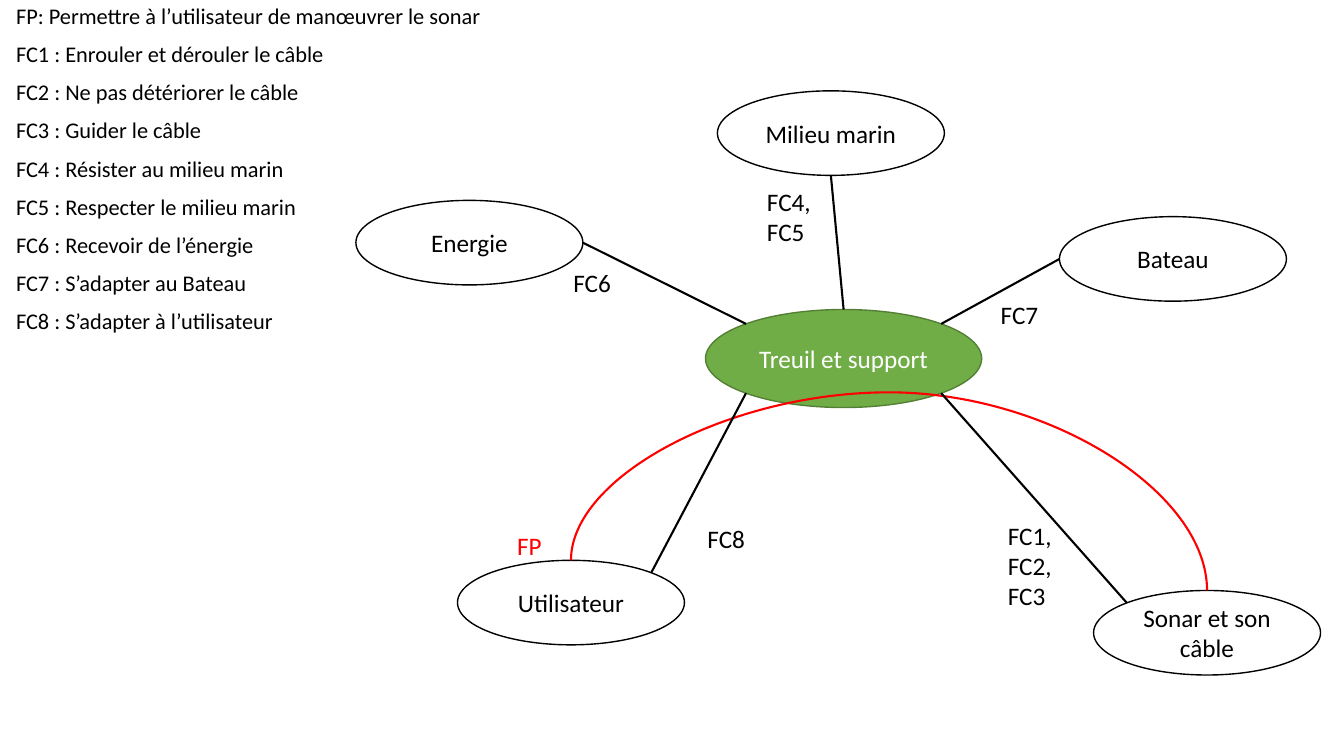
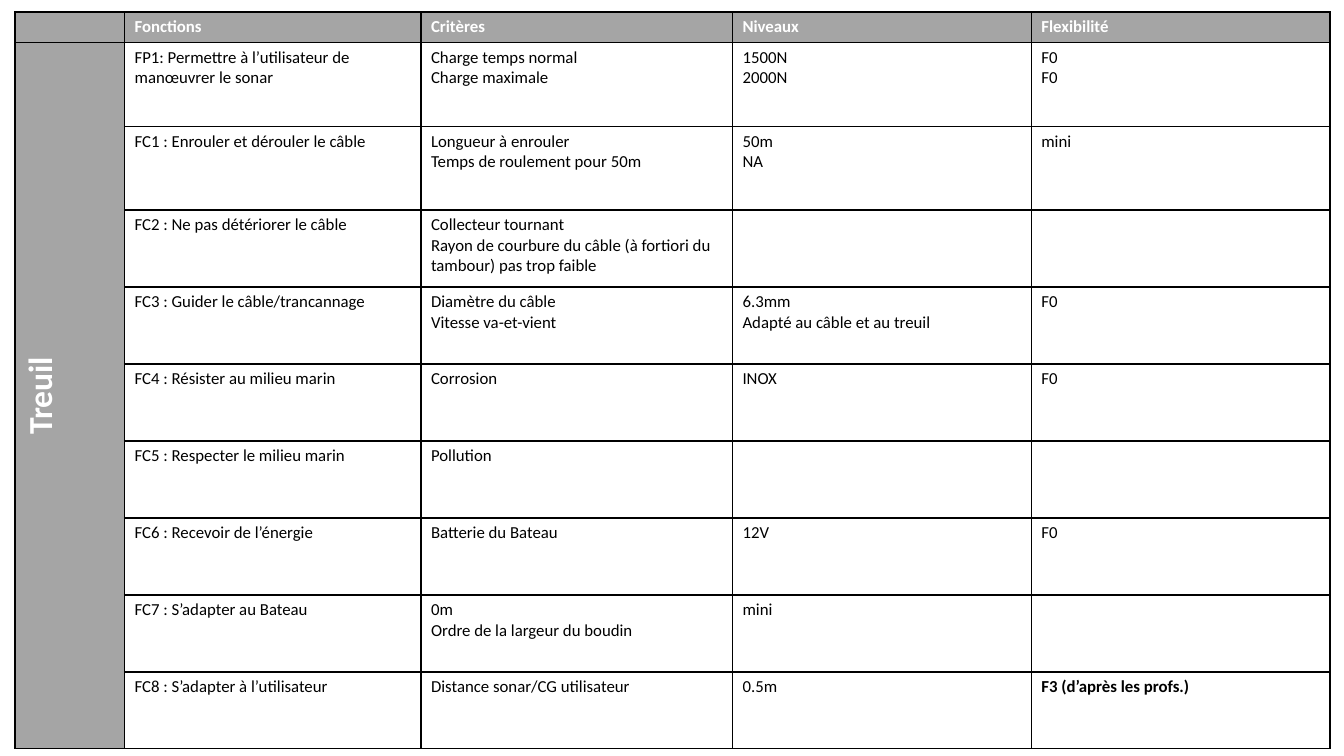
from math import cos, radians, sin

from lxml import etree
from pptx import Presentation
from pptx.dml.color import RGBColor
from pptx.enum.shapes import MSO_CONNECTOR, MSO_SHAPE
from pptx.enum.text import MSO_ANCHOR, MSO_AUTO_SIZE, PP_ALIGN
from pptx.oxml.ns import qn
from pptx.util import Cm, Pt

BLACK = RGBColor(0, 0, 0)
WHITE = RGBColor(255, 255, 255)
RED = RGBColor(255, 0, 0)
GREEN = RGBColor(0x70, 0xAD, 0x47)
MOSS = RGBColor(0x53, 0x80, 0x35)
GREY = RGBColor(0xA5, 0xA5, 0xA5)
FONT = "Calibri"
OVAL = MSO_SHAPE.OVAL
LINE = MSO_CONNECTOR.STRAIGHT
CURVE = MSO_CONNECTOR.CURVE
LEFT = PP_ALIGN.LEFT
MID = PP_ALIGN.CENTER
TOP = MSO_ANCHOR.TOP
CORE = MSO_ANCHOR.MIDDLE
FIXED = MSO_AUTO_SIZE.NONE
N, NW, W, SW, S, SE, E, NE = range(8)


class Deck:
    def __init__(self):
        self.prs = Presentation()
        self.prs.slide_width = Cm(33.87)
        self.prs.slide_height = Cm(19.05)
        self.slide = None

    def start(self, kind):
        self.slide = self.prs.slides.add_slide(self.prs.slide_layouts[kind])

    def put(self, frame, text, size, color=BLACK, align=LEFT, bold=False):
        frame.text = text
        for para in frame.paragraphs:
            para.alignment = align
            font = para.font
            font.name = FONT
            font.size = Pt(size)
            font.bold = bold
            font.color.rgb = color
            if not para.text:
                etree.SubElement(para._p, qn("a:endParaRPr"), sz=str(size * 100))

    def body(self, x, y, w, h, lines):
        title = self.slide.shapes.title
        title.element.getparent().remove(title.element)
        box = self.slide.placeholders[1]
        box.left, box.top, box.width, box.height = Cm(x), Cm(y), Cm(w), Cm(h)
        frame = box.text_frame
        frame.auto_size = FIXED
        frame.vertical_anchor = TOP
        self.put(frame, "\n".join(lines), 16)
        for para in frame.paragraphs:
            para.line_spacing = 0.9
            para.space_before = Pt(10)
            props = para._p.get_or_add_pPr()
            props.set("marL", "0")
            props.set("indent", "0")
            bullet = etree.Element(qn("a:buNone"))
            props.find(qn("a:defRPr")).addprevious(bullet)

    def oval(self, x, y, text, w=5.72, h=2.13, fill=WHITE, edge=BLACK, color=BLACK):
        shape = self.slide.shapes.add_shape(OVAL, Cm(x), Cm(y), Cm(w), Cm(h))
        shape.shadow.inherit = False
        shape.fill.solid()
        shape.fill.fore_color.rgb = fill
        shape.line.color.rgb = edge
        shape.line.width = Pt(1)
        shape.text_frame.word_wrap = True
        shape.text_frame.vertical_anchor = CORE
        self.put(shape.text_frame, text, 18, color, MID)
        return shape

    def label(self, x, y, text, color=BLACK):
        tall = 0.25 + 0.77 * len(text.split("\n"))
        box = self.slide.shapes.add_textbox(Cm(x), Cm(y), Cm(2.1), Cm(tall))
        box.text_frame.word_wrap = True
        self.put(box.text_frame, text, 18, color)

    def site(self, shape, index):
        angle = radians(90 + 45 * index)
        x = shape.left + shape.width / 2 * (1 + cos(angle))
        y = shape.top + shape.height / 2 * (1 - sin(angle))
        return int(x), int(y)

    def link(self, first, out, last, into, kind=LINE, color=BLACK):
        ends = self.site(first, out) + self.site(last, into)
        link = self.slide.shapes.add_connector(kind, *ends)
        link.line.color.rgb = color
        link.line.width = Pt(1.5)
        etree.SubElement(link._element.spPr, qn("a:effectLst"))
        glue = link._element.find(".//" + qn("p:cNvCxnSpPr"))
        for tag, shape, index in (("a:stCxn", first, out), ("a:endCxn", last, into)):
            etree.SubElement(glue, qn(tag), id=str(shape.shape_id), idx=str(index))
        return link

    def arch(self, first, last, bend, color):
        link = self.link(first, N, last, N, CURVE, color)
        wide, tall = link.width, link.height
        link.left += (wide - tall) // 2
        link.top += (tall - wide) // 2
        link.width, link.height = tall, wide
        props = link._element.spPr
        frame = props.find(qn("a:xfrm"))
        frame.set("rot", str(270 * 60000))
        frame.set("flipH", "1")
        geom = props.find(qn("a:prstGeom"))
        guides = geom.find(qn("a:avLst"))
        if guides is None:
            guides = etree.SubElement(geom, qn("a:avLst"))
        etree.SubElement(guides, qn("a:gd"), name="adj1", fmla=f"val {int(bend * 100000)}")

    def cell(self, cell, text, fill, size=12, color=BLACK, align=LEFT, bold=False):
        self.put(cell.text_frame, text, size, color, align, bold)
        props = cell._tc.get_or_add_tcPr()
        for side in "LRTB":
            edge = etree.SubElement(props, qn("a:ln" + side), w=str(Pt(1)))
            paint = etree.SubElement(edge, qn("a:solidFill"))
            etree.SubElement(paint, qn("a:srgbClr"), val=str(BLACK))
        cell.fill.solid()
        cell.fill.fore_color.rgb = fill

    def table(self, x, y, cols, rows, head, side, data):
        frame = self.slide.shapes.add_table(
            len(rows), len(cols), Cm(x), Cm(y), Cm(sum(cols)), Cm(sum(rows)))
        grid = frame.table
        grid.horz_banding = False
        for col, width in zip(grid.columns, cols):
            col.width = Cm(width)
        for row, height in zip(grid.rows, rows):
            row.height = Cm(height)
        for c, text in enumerate(["", *head]):
            self.cell(grid.cell(0, c), text, GREY, color=WHITE, bold=True)
        for r, line in enumerate(data, 1):
            name = side if r == 1 else ""
            self.cell(grid.cell(r, 0), name, GREY, 24, WHITE, MID, True)
            for c, text in enumerate(line, 1):
                self.cell(grid.cell(r, c), text, WHITE, bold=text.startswith("F3"))
        band = grid.cell(1, 0)
        band.merge(grid.cell(len(data), 0))
        band._tc.get_or_add_tcPr().set("vert", "vert270")


GOALS = [
    "FC1 : Enrouler et dérouler le câble",
    "FC2 : Ne pas détériorer le câble",
    "FC3 : Guider le câble",
    "FC4 : Résister au milieu marin",
    "FC5 : Respecter le milieu marin",
    "FC6 : Recevoir de l’énergie",
    "FC7 : S’adapter au Bateau",
    "FC8 : S’adapter à l’utilisateur",
]
MAIN = "Permettre à l’utilisateur de manœuvrer le sonar"

deck = Deck()
deck.start(1)
deck.body(0.15, 0, 12.5, 19.05, ["FP: " + MAIN, *GOALS])
winch = deck.oval(17.78, 7.8, "Treuil et support", 6.96, 2.47, GREEN, MOSS, WHITE)
user = deck.oval(11.53, 14.12, "Utilisateur")
sonar = deck.oval(27.56, 14.88, "Sonar et son câble")
deck.arch(user, sonar, -5.57, RED)
boat = deck.oval(26.7, 5.46, "Bateau")
sea = deck.oval(18.08, 2.29, "Milieu marin")
power = deck.oval(8.97, 5.05, "Energie")
for ends in (
    (power, E, winch, NW),
    (winch, SE, sonar, NW),
    (sea, S, winch, N),
    (winch, NE, boat, W),
    (user, NE, winch, SW),
):
    deck.link(*ends)
deck.label(12.78, 13.23, "FP", RED)
for x, y, text in (
    (14.2, 6.6, "FC6"),
    (25.15, 12.98, "FC1,\nFC2,\nFC3"),
    (19.08, 4.57, "FC4,\nFC5"),
    (24.97, 7.42, "FC7"),
    (17.58, 13.06, "FC8"),
):
    deck.label(x, y, text)

NEEDS = [
    ("Charge temps normal\nCharge maximale", "1500N\n2000N", "F0\nF0"),
    ("Longueur à enrouler\nTemps de roulement pour 50m", "50m\nNA", "mini"),
    ("Collecteur tournant\nRayon de courbure du câble (à fortiori du tambour) "
     "pas trop faible", "", ""),
    ("Diamètre du câble\nVitesse va-et-vient", "6.3mm\nAdapté au câble et au treuil", "F0"),
    ("Corrosion", "INOX", "F0"),
    ("Pollution", "", ""),
    ("Batterie du Bateau", "12V", "F0"),
    ("0m\nOrdre de la largeur du boudin", "mini", ""),
    ("Distance sonar/CG utilisateur", "0.5m", "F3 (d’après les profs.)"),
]
names = ["FP1: " + MAIN, *GOALS]
names[3] += "/trancannage"

deck.start(6)
deck.table(
    0.38, 0.3,
    [2.76, 7.47, 7.85, 7.53, 7.53],
    [0.77] + [2.11] * 2 + [1.94] * 7,
    ["Fonctions", "Critères", "Niveaux", "Flexibilité"],
    "Treuil",
    [(name, *need) for name, need in zip(names, NEEDS)],
)
deck.prs.save("out.pptx")
